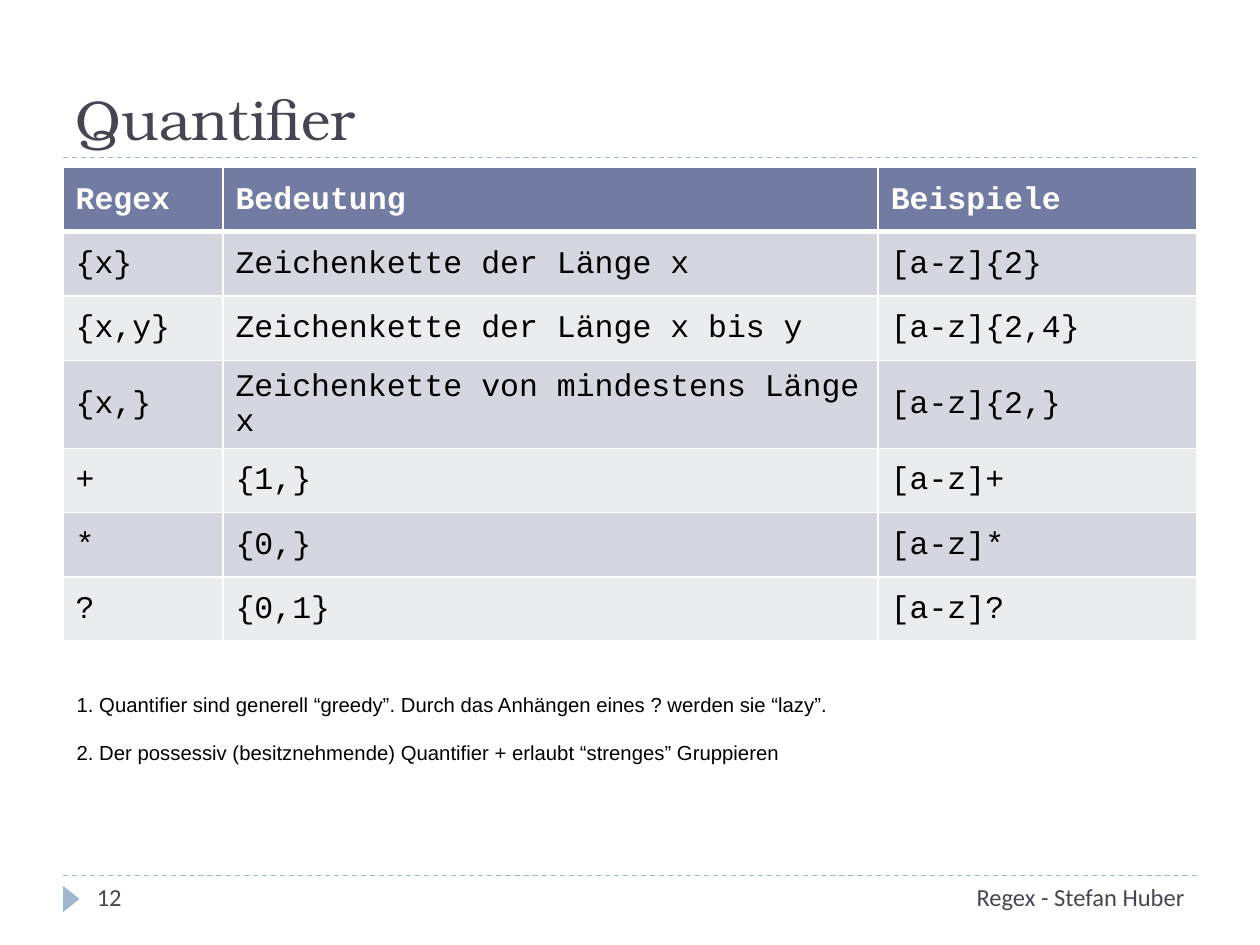
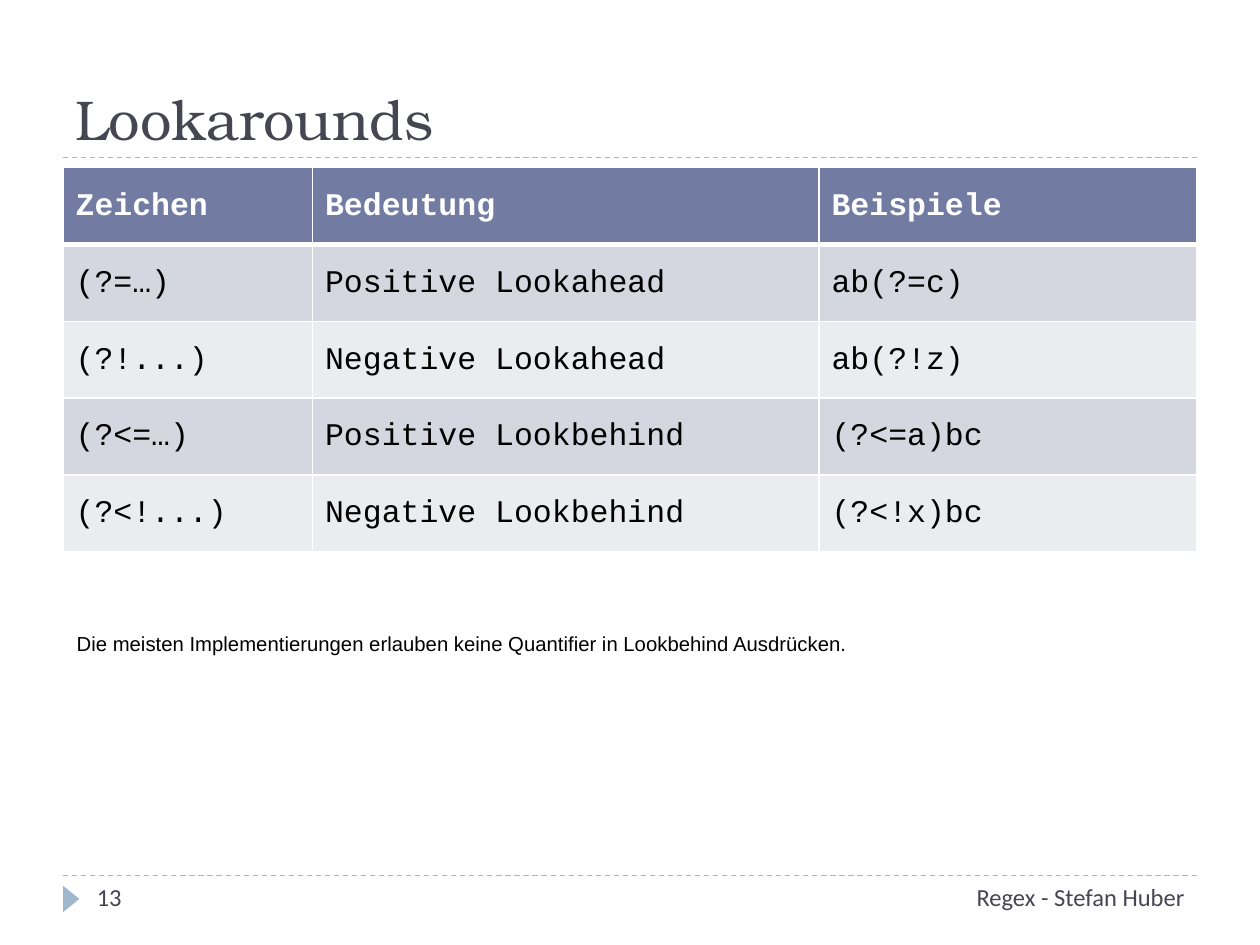
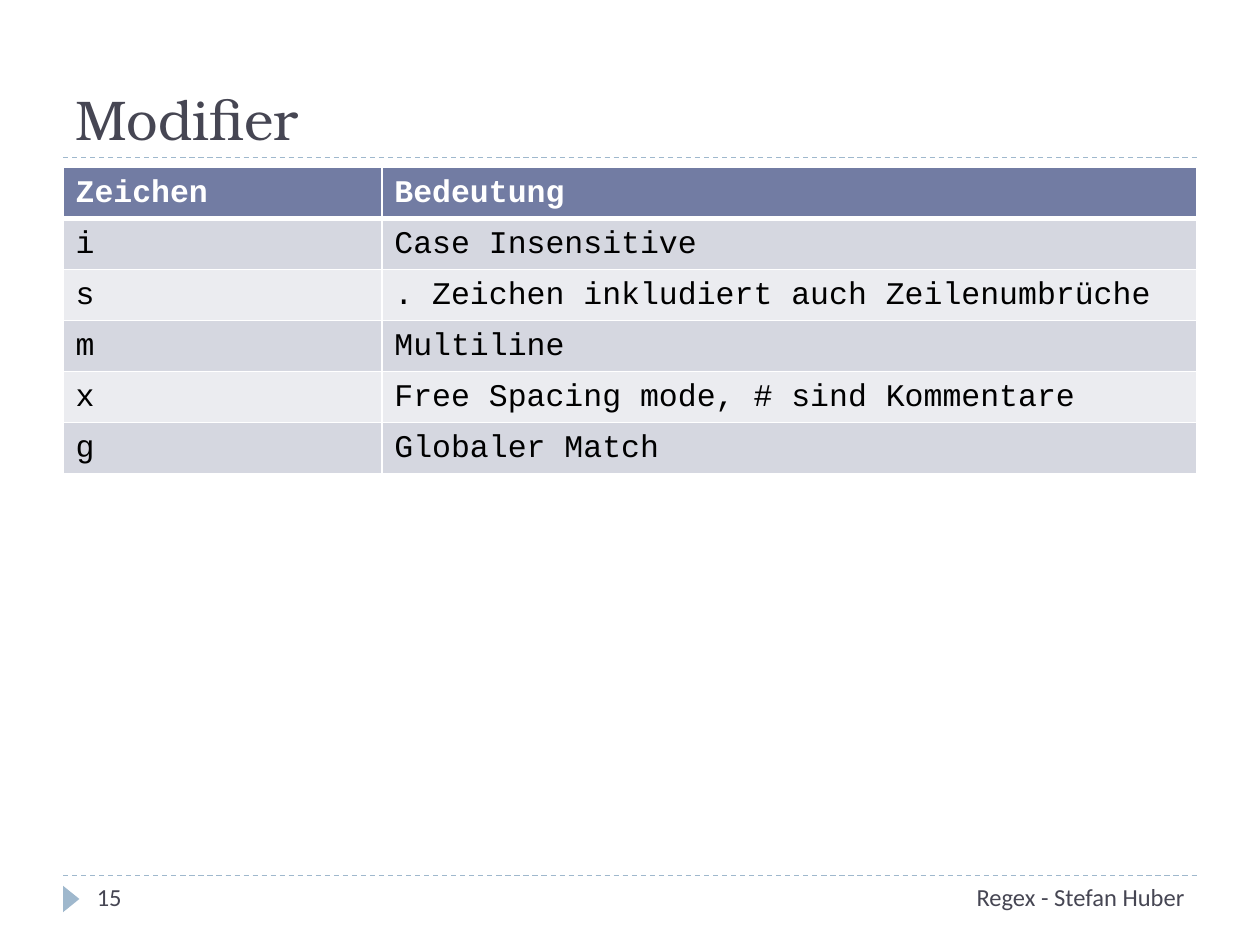
from lxml import etree
from pptx import Presentation
from pptx.dml.color import RGBColor
from pptx.enum.dml import MSO_LINE
from pptx.enum.shapes import MSO_CONNECTOR, MSO_SHAPE
from pptx.enum.text import MSO_ANCHOR as Anchor, PP_ALIGN as Align
from pptx.oxml.ns import qn
from pptx.util import Inches, Pt

# Content: columns are widths in inches, row is the height of each table row
SLIDES = [
    dict(
        title="Quantifier", page=12, cols=(1.27, 5.2, 2.53), row=0.51,
        rows=[
            ("Regex", "Bedeutung", "Beispiele"),
            ("{x}", "Zeichenkette der Länge x", "[a-z]{2}"),
            ("{x,y}", "Zeichenkette der Länge x bis y", "[a-z]{2,4}"),
            ("{x,}", "Zeichenkette von mindestens Länge x", "[a-z]{2,}"),
            ("+", "{1,}", "[a-z]+"),
            ("*", "{0,}", "[a-z]*"),
            ("?", "{0,1}", "[a-z]?"),
        ],
        notes=[
            "1. Quantifier sind generell “greedy”. Durch das Anhängen eines ? werden sie “lazy”.",
            "2. Der possessiv (besitznehmende) Quantifier + erlaubt “strenges” Gruppieren",
        ],
        box=(5.25, 1.45),
    ),
    dict(
        title="Lookarounds", page=13, cols=(1.98, 4.02, 3), row=0.61,
        rows=[
            ("Zeichen", "Bedeutung", "Beispiele"),
            ("(?=…)", "Positive Lookahead", "ab(?=c)"),
            ("(?!...)", "Negative Lookahead", "ab(?!z)"),
            ("(?<=…)", "Positive Lookbehind", "(?<=a)bc"),
            ("(?<!...)", "Negative Lookbehind", "(?<!x)bc"),
        ],
        notes=["Die meisten Implementierungen erlauben keine Quantifier in Lookbehind Ausdrücken."],
        box=(4.77, 0.78),
    ),
    dict(
        title="Modifier", page=15, cols=(2.53, 6.47), row=0.405,
        rows=[
            ("Zeichen", "Bedeutung"),
            ("i", "Case Insensitive"),
            ("s", ". Zeichen inkludiert auch Zeilenumbrüche"),
            ("m", "Multiline"),
            ("x", "Free Spacing mode, # sind Kommentare"),
            ("g", "Globaler Match"),
        ],
        notes=[], box=None,
    ),
]
FOOTER = "Regex - Stefan Huber"

# Shared style
INK, ACCENT, HEAD = "464653", "9FB8CD", "727CA3"
BANDS = ("D5D7E0", "EBECF0")
WHITE, BLACK = "FFFFFF", "000000"
LEFT, WIDE = 0.5, 9
TOP_RULE, LOW_RULE = 1.25, 6.95


def color(code):
    return RGBColor.from_string(code)


def style(para, face, size, ink, bold=False):
    font = para.font
    font.name, font.size, font.bold = face, Pt(size), bold
    font.color.rgb = color(ink)


def add_text(slide, area, lines, face, size, ink, align=Align.LEFT,
             anchor=Anchor.TOP, inset=0.05, gap=0):
    frame = slide.shapes.add_textbox(*map(Inches, area)).text_frame
    frame.word_wrap = True
    frame.vertical_anchor = anchor
    frame.margin_top = Inches(inset)
    for i, line in enumerate(lines):
        para = frame.add_paragraph() if i else frame.paragraphs[0]
        para.text, para.alignment = line, align
        if i:
            para.space_before = Pt(gap)
        style(para, face, size, ink)


def add_rule(slide, y):
    rule = slide.shapes.add_connector(
        MSO_CONNECTOR.STRAIGHT, *map(Inches, (LEFT, y, LEFT + WIDE, y)))
    rule.line.color.rgb = color(ACCENT)
    rule.line.width = Pt(0.75)
    rule.line.dash_style = MSO_LINE.DASH
    etree.SubElement(rule._element.spPr, qn("a:effectLst"))


def add_frame(slide, title, page):
    """Title, rules, marker and footer found on every slide."""
    for y in (LOW_RULE, TOP_RULE):
        add_rule(slide, y)
    mark = slide.shapes.add_shape(
        MSO_SHAPE.ISOSCELES_TRIANGLE, *map(Inches, (0.46, 7.07, 0.21, 0.13)))
    mark.rotation = 90
    mark.shadow.inherit = False
    mark.fill.solid()
    mark.fill.fore_color.rgb = color(ACCENT)
    mark.line.fill.background()
    add_text(slide, (LEFT, 0.17, WIDE, 1.08), [title], "TeX Gyre Bonum", 32,
             INK, anchor=Anchor.BOTTOM)
    add_text(slide, (7, LOW_RULE, 2.5, 0.4), [FOOTER], "Calibri", 14, INK, Align.RIGHT)
    add_text(slide, (0.67, LOW_RULE, 2.17, 0.4), [str(page)], "Calibri", 14, INK)


def add_border(cell, side, width):
    line = etree.SubElement(cell._tc.get_or_add_tcPr(), qn("a:ln" + side), w=str(Pt(width)))
    fill = etree.SubElement(line, qn("a:solidFill"))
    etree.SubElement(fill, qn("a:srgbClr"), val=WHITE)


def fill_cell(cell, text, row):
    head = row == 0
    # The thick edge lies between the header and the first body row
    for side, width in (("L", 1), ("R", 1), ("T", 3 if row == 1 else 1), ("B", 3 if head else 1)):
        add_border(cell, side, width)
    cell.fill.solid()
    cell.fill.fore_color.rgb = color(HEAD if head else BANDS[(row - 1) % 2])
    cell.vertical_anchor = Anchor.MIDDLE
    cell.margin_top, cell.margin_bottom = Inches(0.06), Inches(0.05)
    cell.text = text
    para = cell.text_frame.paragraphs[0]
    para.line_spacing = 0.98
    style(para, "Courier New", 18, WHITE if head else BLACK, head)


def add_grid(slide, rows, cols, height):
    area = (LEFT, 1.33, WIDE, height * len(rows))
    table = slide.shapes.add_table(len(rows), len(cols), *map(Inches, area)).table
    for col, width in zip(table.columns, cols):
        col.width = Inches(width)
    for r, texts in enumerate(rows):
        table.rows[r].height = Inches(height)
        for c, text in enumerate(texts):
            fill_cell(table.cell(r, c), text, r)


def main():
    deck = Presentation()
    deck.slide_width, deck.slide_height = Inches(10), Inches(7.5)
    for item in SLIDES:
        slide = deck.slides.add_slide(deck.slide_layouts[6])
        add_frame(slide, item["title"], item["page"])
        add_grid(slide, item["rows"], item["cols"], item["row"])
        if item["notes"]:
            top, height = item["box"]
            add_text(slide, (0.51, top, 8.98, height), item["notes"], "Arial", 11.6,
                     BLACK, inset=0.24, gap=13.6)
    deck.save("out.pptx")


if __name__ == "__main__":
    main()
